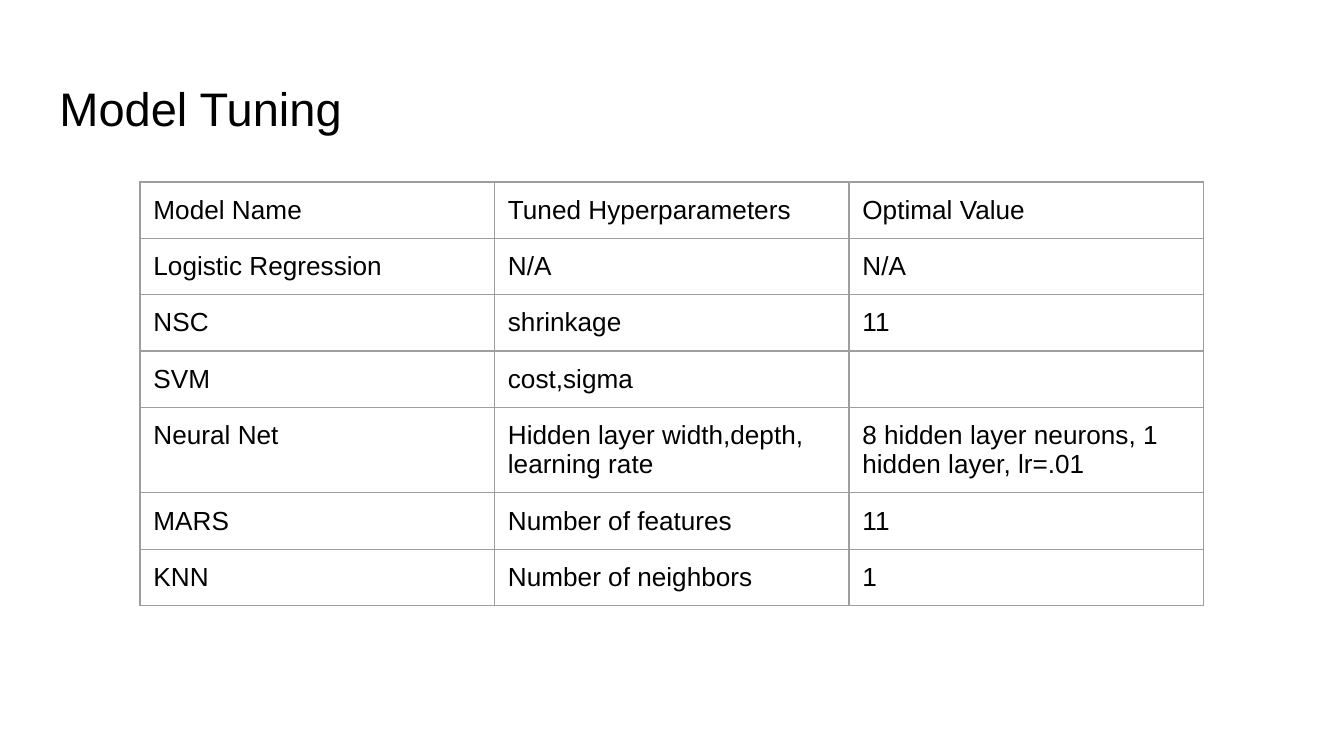
from lxml import etree
from pptx import Presentation
from pptx.dml.color import RGBColor
from pptx.enum.text import MSO_ANCHOR, PP_ALIGN
from pptx.oxml.ns import qn
from pptx.util import Pt

LEFT, TOP, MIDDLE = PP_ALIGN.LEFT, MSO_ANCHOR.TOP, MSO_ANCHOR.MIDDLE
EMU_PER_PX = 3810  # 240 px to the inch
FONT, INK, RULE = "Arial", "000000", "9E9E9E"
TITLE_SIZE, CELL_SIZE, RULE_WIDTH = 25.2, 14, 0.75
INSET = 24
TITLE_ONLY = 5

ROWS = [
    ("Model Name", "Tuned Hyperparameters", "Optimal Value"),
    ("Logistic Regression", "N/A", "N/A"),
    ("NSC", "shrinkage", "11"),
    ("SVM", "cost,sigma", ""),
    ("Neural Net", "Hidden layer width,depth, learning rate",
     "8 hidden layer neurons, 1 hidden layer, lr=.01"),
    ("MARS", "Number of features", "11"),
    ("KNN", "Number of neighbors", "1"),
]


def px(length):
    return length * EMU_PER_PX


def color(code):
    return RGBColor.from_string(code)


def set_insets(target):
    target.margin_left = target.margin_right = px(INSET)
    target.margin_top = target.margin_bottom = px(INSET)


def add_span(para, text, size):
    span = para.add_run()
    span.text = text
    span.font.name = FONT
    span.font.size = Pt(size)
    span.font.color.rgb = color(INK)


def add_title(page, text, left, top, width, height):
    title = page.shapes.title
    title.left, title.top = px(left), px(top)
    title.width, title.height = px(width), px(height)
    frame = title.text_frame
    frame.word_wrap = True
    frame.vertical_anchor = MIDDLE
    set_insets(frame)
    para = frame.paragraphs[0]
    para.alignment = LEFT
    add_span(para, text, TITLE_SIZE)


def add_borders(cell):
    # Border lines come before the fill in the cell properties
    properties = cell._tc.get_or_add_tcPr()
    for place, side in enumerate(("lnL", "lnR", "lnT", "lnB")):
        line = etree.Element(qn(f"a:{side}"), w=str(Pt(RULE_WIDTH)))
        fill = etree.SubElement(line, qn("a:solidFill"))
        etree.SubElement(fill, qn("a:srgbClr"), val=RULE)
        properties.insert(place, line)


def fill_cell(cell, text):
    cell.fill.background()
    cell.vertical_anchor = TOP
    set_insets(cell)
    add_borders(cell)
    para = cell.text_frame.paragraphs[0]
    if text:
        add_span(para, text, CELL_SIZE)
    else:
        # An empty cell keeps the text font, so its row does not grow
        ending = para._p.get_or_add_endParaRPr()
        ending.set("sz", str(CELL_SIZE * 100))
        etree.SubElement(ending, qn("a:latin"), typeface=FONT)


def add_tuning_table(page, rows, left, top, column_width, row_height):
    columns = len(rows[0])
    frame = page.shapes.add_table(len(rows), columns, px(left), px(top),
                                  px(column_width * columns),
                                  px(row_height * len(rows)))
    table = frame.table
    table.first_row = table.horz_banding = False
    for column in table.columns:
        column.width = px(column_width)
    for row, texts in zip(table.rows, rows):
        row.height = px(row_height)
        for cell, text in zip(row.cells, texts):
            fill_cell(cell, text)


def main():
    deck = Presentation()
    deck.slide_width, deck.slide_height = px(2400), px(1350)
    page = deck.slides.add_slide(deck.slide_layouts[TITLE_ONLY])
    add_title(page, "Model Tuning", 82, 117, 2236, 150)
    add_tuning_table(page, ROWS, 250, 325, 633, 100)
    deck.save("out.pptx")


if __name__ == "__main__":
    main()
